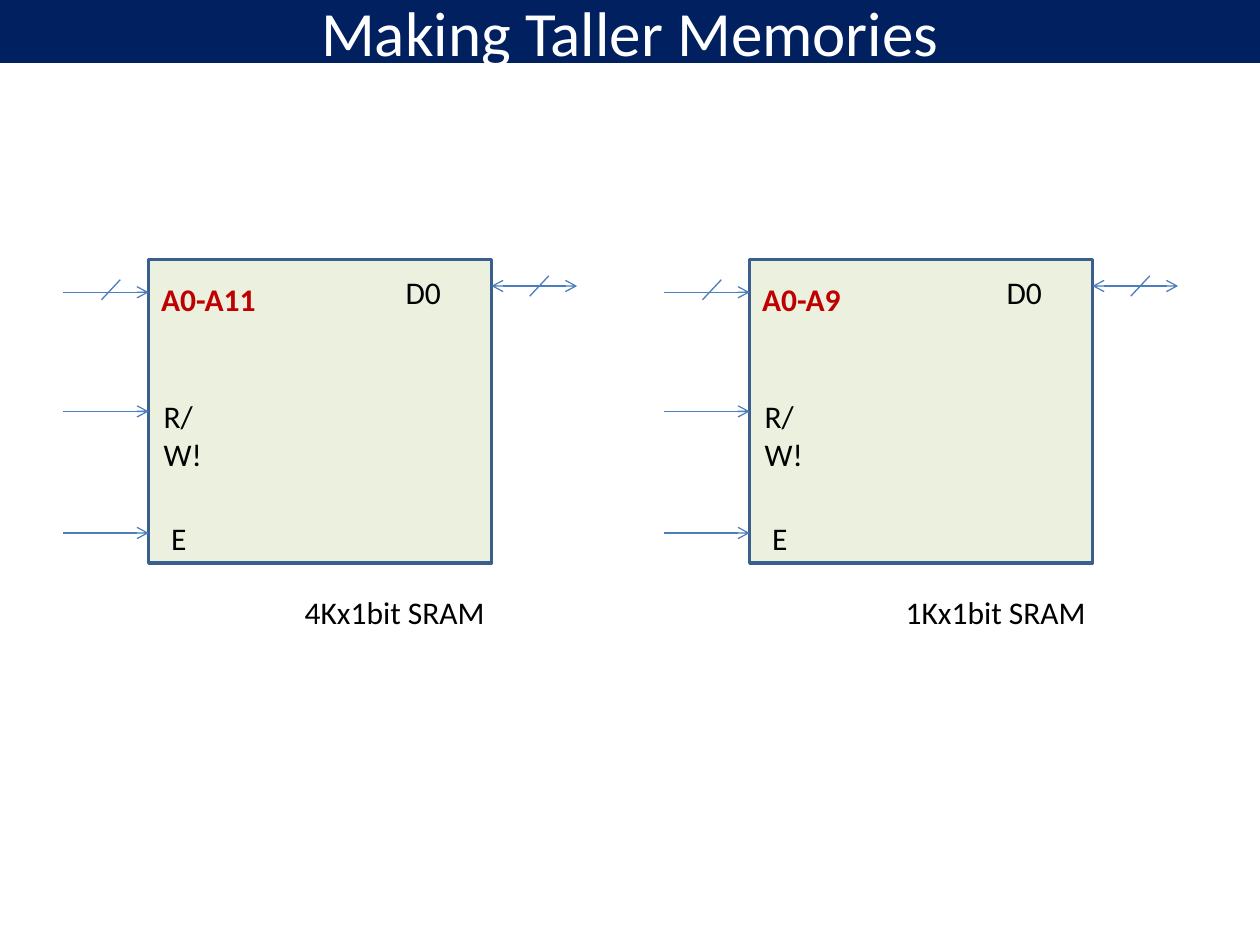
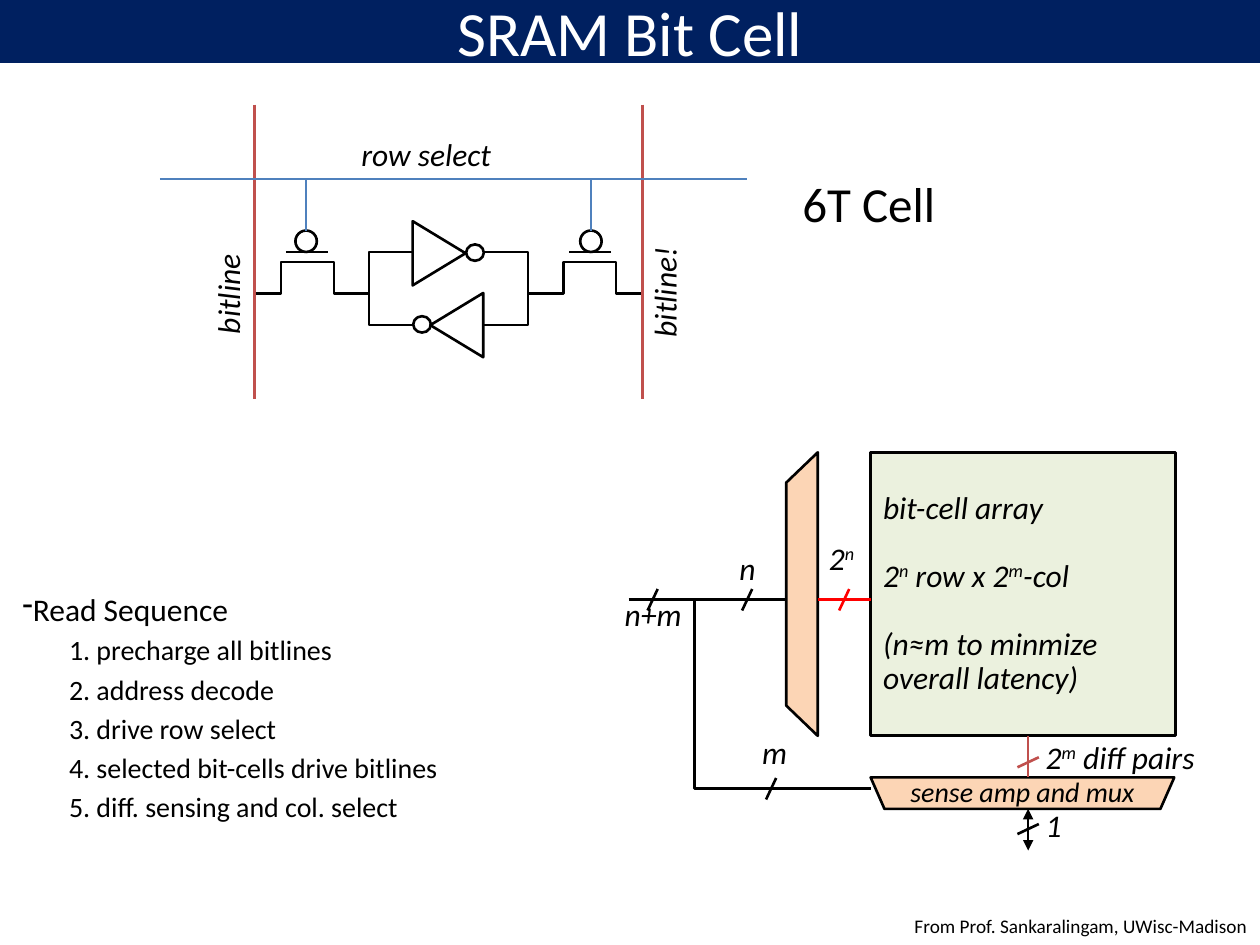
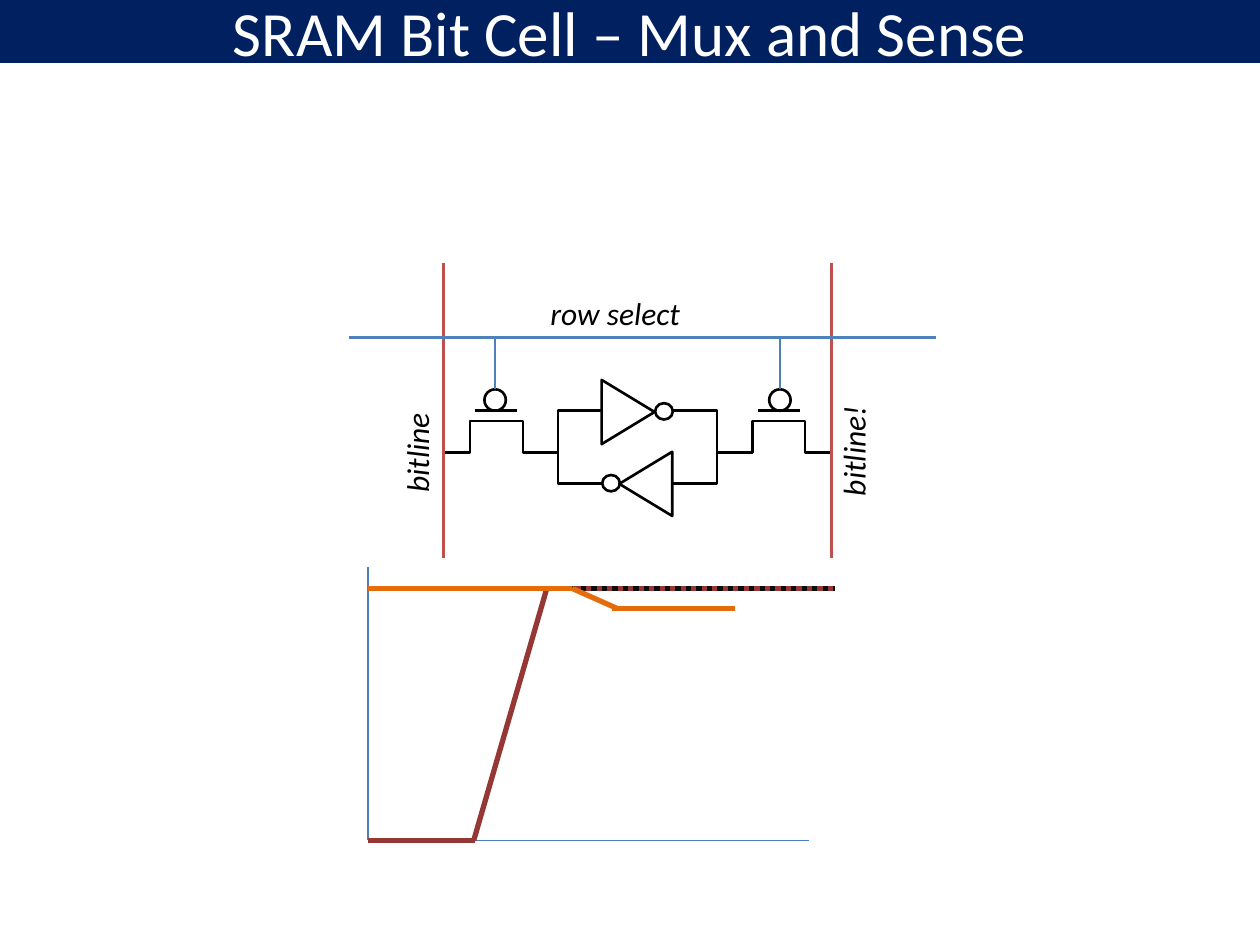
from pptx import Presentation
from pptx.dml.color import RGBColor
from pptx.enum.dml import MSO_LINE
from pptx.enum.shapes import MSO_CONNECTOR, MSO_SHAPE as SHAPE
from pptx.enum.text import MSO_ANCHOR as ANCHOR, MSO_AUTO_SIZE, PP_ALIGN as ALIGN
from pptx.oxml.ns import qn
from pptx.util import Inches, Pt
from lxml.etree import SubElement

FONT = "Calibri"
NAVY, WHITE, BLACK = "002060", "FFFFFF", "000000"
GREEN, PEACH = "EBF1DE", "FCD5B5"
WIRE, OUTLINE, BLUE = "4B7EBC", "3A5F8C", "4F81BD"
RED, BRIGHT_RED, DARK_RED = "C0504D", "FF0000", "C00000"
MAROON, ORANGE, DOTS = "953735", "E46C0A", "0D0D0D"


def rgb(color):
    return RGBColor.from_string(color)


class Deck:
    def __init__(self):
        self.prs = Presentation()
        self.prs.slide_width, self.prs.slide_height = Inches(10), Inches(7.5)

    def slide(self, title):
        self.s = self.prs.slides.add_slide(self.prs.slide_layouts[6])
        self.shapes = self.s.shapes
        band = self.box(SHAPE.RECTANGLE, 0, 0, 10, 0.5, NAVY, None)
        self.set_text(band, [title], 36, WHITE, align=ALIGN.CENTER)

    def group(self):
        self.shapes = self.s.shapes.add_group_shape().shapes

    def ungroup(self):
        self.shapes = self.s.shapes

    def style(self, sp, fill, line, width):
        sp.shadow.inherit = False
        if fill:
            sp.fill.solid()
            sp.fill.fore_color.rgb = rgb(fill)
        else:
            sp.fill.background()
        if line:
            sp.line.color.rgb = rgb(line)
            sp.line.width = Pt(width)
        else:
            sp.line.fill.background()
        return sp

    def box(self, kind, x, y, w, h, fill=None, line=BLACK, width=1.5, turn=0):
        sp = self.shapes.add_shape(kind, Inches(x), Inches(y), Inches(w), Inches(h))
        sp.rotation = turn
        return self.style(sp, fill, line, width)

    def outline(self, points, fill=None, close=False):
        start, *rest = [(Inches(x), Inches(y)) for x, y in points]
        fb = self.shapes.build_freeform(*start)
        fb.add_line_segments(rest, close=close)
        return self.style(fb.convert_to_shape(), fill, BLACK, 1.5)

    def line(self, x1, y1, x2, y2, color=BLACK, width=1.5, head=None, tail=None, dash=None):
        cx = self.shapes.add_connector(
            MSO_CONNECTOR.STRAIGHT, Inches(x1), Inches(y1), Inches(x2), Inches(y2))
        cx.line.color.rgb = rgb(color)
        cx.line.width = Pt(width)
        if dash:
            cx.line.dash_style = dash
        spPr = cx._element.spPr
        for tag, kind in (("a:headEnd", head), ("a:tailEnd", tail)):
            if kind:
                SubElement(spPr.find(qn("a:ln")), qn(tag), type=kind)
        SubElement(spPr, qn("a:effectLst"))
        return cx

    def slash(self, x, y, w, h, color=BLACK, width=1.5):
        self.line(x - w / 2, y + h / 2, x + w / 2, y - h / 2, color, width)

    def set_text(self, sp, paras, size=18, color=BLACK, bold=False, italic=False,
                 align=ALIGN.LEFT, anchor=ANCHOR.MIDDLE, spacing=None, wrap=True):
        tf = sp.text_frame
        tf.word_wrap = wrap
        tf.vertical_anchor = anchor
        for i, text in enumerate(paras):
            p = tf.add_paragraph() if i else tf.paragraphs[0]
            p.alignment = align
            p.line_spacing = spacing
            for j, part in enumerate(text.rstrip("^").split("^")):
                r = p.add_run()
                r.text = part
                f = r.font
                f.name, f.size, f.bold, f.italic = FONT, Pt(size), bold, italic
                f.color.rgb = rgb(color)
                if j % 2:
                    r._r.get_or_add_rPr().set("baseline", "30000")
        return tf

    def text(self, x, y, w, h, text, size=18, turn=0, wrap=False, **style):
        sp = self.shapes.add_textbox(Inches(x), Inches(y), Inches(w), Inches(h))
        sp.rotation = turn
        tf = self.set_text(sp, [text], size, anchor=ANCHOR.TOP, wrap=wrap, **style)
        tf.auto_size = MSO_AUTO_SIZE.SHAPE_TO_FIT_TEXT

    def label(self, x, y, w, text, turn=0):
        self.text(x, y, w, 0.37, text, turn=turn, italic=True, spacing=0.9)

    def sequence(self, x, y, w, h, heading, steps):
        sp = self.shapes.add_textbox(Inches(x), Inches(y), Inches(w), Inches(h))
        tf = self.set_text(sp, [heading, *steps], 16, anchor=ANCHOR.TOP)
        first, *rest = tf.paragraphs
        first.runs[0].font.size = Pt(18)
        first.space_before = Pt(3.6)
        SubElement(first._p.get_or_add_pPr(), qn("a:buChar"), char="-")
        for p in rest:
            p.space_before = Pt(3.2)
            pPr = p._p.get_or_add_pPr()
            pPr.set("marL", str(Inches(0.56)))
            pPr.set("indent", str(Inches(-0.19)))

    def memory(self, x, address, address_w, caption):
        top, w, h, lead = 2.06, 2.72, 2.41, 0.68
        middle = top + h / 2
        self.group()
        chip = self.box(SHAPE.RECTANGLE, x, top, w, h, GREEN, OUTLINE, 2)
        for y in (2.32, middle, 4.23):
            cx = self.line(x - lead, y, x, y, WIRE, 0.75, tail="arrow")
            if y == middle:
                cx.end_connect(chip, 1)
        self.line(x + w, 2.27, x + w + lead, 2.27, WIRE, 0.75, "arrow", "arrow")
        self.slash(x - 0.3, 2.3, 0.15, 0.16, WIRE, 0.75)
        self.slash(x + 3.1, 2.27, 0.15, 0.16, WIRE, 0.75)
        self.text(x, 2.17, address_w, 0.4, address, color=DARK_RED, bold=True)
        self.text(x + 1.94, 2.12, 0.49, 0.4, "D0")
        self.text(x + 0.02, 3.1, 0.67, 0.32, "R/W!", wrap=True)
        self.text(x + 0.08, 4.07, 0.29, 0.32, "E")
        self.text(x + 1.14, 4.66, 1.64, 0.4, caption)
        self.ungroup()

    def bit_cell(self, x, y):
        span, gate = 3.08, 0.17
        sides = (lambda d: x + d, lambda d: x + span - d)
        self.group()
        for dx, dy, turn in ((1.21, 0.97, 90), (1.35, 1.54, 270)):
            self.box(SHAPE.ISOSCELES_TRIANGLE, x + dx, y + dy, 0.51, 0.42, turn=turn)
        for dx, dy in ((1.68, 1.11), (1.26, 1.68)):
            self.box(SHAPE.OVAL, x + dx, y + dy, 0.14, 0.13)
        for at in sides:
            self.outline([(at(dx), y + dy) for dx, dy in
                          ((1.26, 1.17), (0.91, 1.17), (0.91, 1.75), (1.26, 1.75))])
        self.ungroup()
        for at in sides:
            self.outline([(at(dx), y + dy) for dx, dy in
                          ((0, 1.5), (0.21, 1.5), (0.21, 1.25),
                           (0.63, 1.25), (0.63, 1.5), (0.91, 1.5))])
            self.line(at(0.25), y + 1.17, at(0.58), y + 1.17)
            self.box(SHAPE.OVAL, at(0.41) - gate / 2, y + 1, gate, gate)
            self.line(at(0), y, at(0), y + 2.34, RED)
            self.line(at(0.41), y + 0.59, at(0.41), y + 1, BLUE)
        self.line(x - 0.75, y + 0.59, x + 3.91, y + 0.59, BLUE)
        self.label(x + 0.75, y + 0.23, 1.24, "row select")
        self.label(x - 0.62, y + 1.31, 0.85, "bitline", 270)
        self.label(x + 2.81, y + 1.3, 0.92, "bitline!", 270)

    def bit_array(self):
        array = self.box(SHAPE.RECTANGLE, 6.91, 3.59, 2.42, 2.25, GREEN)
        tf = self.set_text(array, ["bit-cell array", "2^n^ row x 2^m^-col",
                                   "(n≈m to minmize", "overall latency)"],
                           italic=True, spacing=0.9)
        for p in tf.paragraphs[1:3]:
            p.space_before = Pt(19.5)
        sense = self.outline([(6.91, 6.17), (7.02, 6.42), (9.21, 6.42), (9.32, 6.17)],
                             PEACH, close=True)
        self.set_text(sense, ["sense amp and mux"], 16, italic=True,
                      align=ALIGN.CENTER, spacing=0.9)
        self.outline([(6.49, 3.59), (6.24, 3.83), (6.24, 5.6), (6.49, 5.84)],
                     PEACH, close=True)
        self.line(8.16, 5.84, 8.16, 6.17, RED)
        self.line(6.49, 4.76, 6.91, 4.76, BRIGHT_RED)
        self.line(4.99, 4.76, 6.24, 4.76)
        self.outline([(5.51, 4.76), (5.51, 6.26), (6.91, 6.26)])
        self.line(8.16, 6.42, 8.16, 6.75, head="triangle", tail="triangle")
        for x, y, color in ((6.7, 4.76, BRIGHT_RED), (5.93, 4.76, BLACK),
                            (5.18, 4.76, BLACK), (6.12, 6.26, BLACK)):
            self.slash(x, y, 0.08, 0.17, color)
        for y, color in ((6.05, RED), (6.58, BLACK)):
            self.slash(8.16, y, 0.17, 0.08, color)
        for x, y, w, text in ((8.2, 5.84, 1.42, "2^m^ diff pairs"), (6.48, 4.26, 0.43, "2^n^"),
                              (5.77, 4.34, 0.34, "n"), (5.95, 5.8, 0.41, "m"),
                              (8.2, 6.38, 0.34, "1"), (4.86, 4.71, 0.66, "n+m")):
            self.label(x, y, w, text)

    def trace(self, color, *segments):
        for segment in segments:
            self.line(*segment, color, 3)

    def waveform(self):
        left, low, high, sag = 2.92, 6.67, 4.67, 4.83
        self.line(left, 4.5, left, low, WIRE, 0.75)
        self.line(left, low, 6.42, low, WIRE, 0.75)
        self.group()
        self.trace(MAROON, (left, low, 3.77, low), (3.76, low, 4.34, high),
                   (6.61, high, 4.34, high))
        self.line(2.94, high, 6.63, high, DOTS, 3, dash=MSO_LINE.ROUND_DOT)
        self.group()
        self.trace(ORANGE, (left, high, 3.77, high), (3.77, high, 4.54, high),
                   (4.54, high, 4.9, sag), (4.86, sag, 5.83, sag))
        self.ungroup()


def main():
    deck = Deck()

    deck.slide("Making Taller Memories")
    deck.memory(1.18, "A0-A11", 0.97, "4Kx1bit SRAM")
    deck.memory(5.95, "A0-A9", 0.84, "1Kx1bit SRAM")

    deck.slide("SRAM Bit Cell")
    deck.sequence(0.08, 4.63, 10, 2.92, "Read Sequence", [
        "1. precharge all bitlines", "2. address decode", "3. drive row select",
        "4. selected bit-cells drive bitlines", "5. diff. sensing and col. select"])
    deck.bit_cell(2.02, 0.83)
    deck.bit_array()
    deck.text(7.16, 7.21, 2.87, 0.29, "From Prof. Sankaralingam, UWisc-Madison", 11)
    deck.text(6.27, 1.33, 1.26, 0.57, "6T Cell", 28)

    deck.slide("SRAM Bit Cell – Mux and Sense")
    deck.bit_cell(3.52, 2.09)
    deck.waveform()

    deck.prs.save("out.pptx")


if __name__ == "__main__":
    main()
